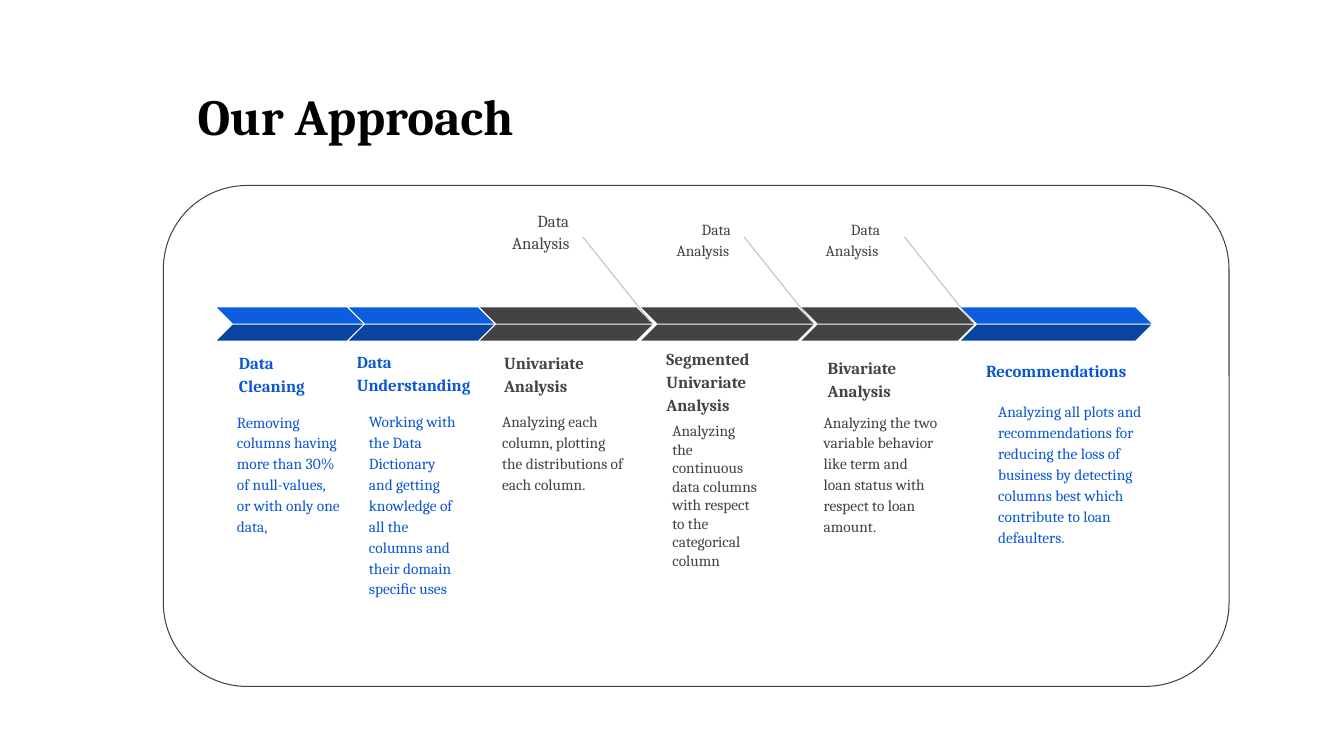
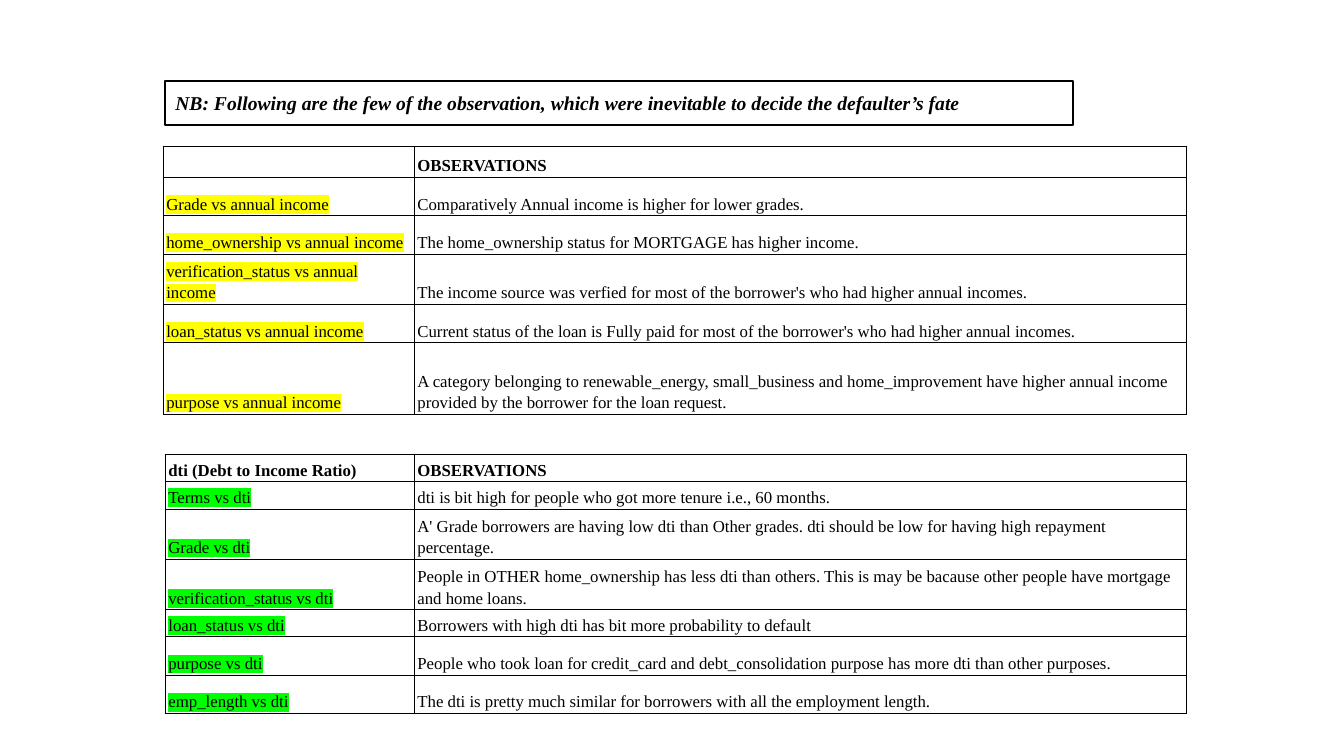
from lxml import etree
from pptx import Presentation
from pptx.dml.color import RGBColor
from pptx.enum.shapes import MSO_CONNECTOR, MSO_SHAPE
from pptx.enum.text import MSO_ANCHOR, MSO_AUTO_SIZE, PP_ALIGN
from pptx.oxml.ns import qn
from pptx.util import Inches, Pt

BLACK = RGBColor(0x00, 0x00, 0x00)
GREY = RGBColor(0x43, 0x43, 0x43)
LIGHT_GREY = RGBColor(0xC1, 0xC1, 0xC1)
BLUE = RGBColor(0x0B, 0x57, 0xD3)
BRIGHT_BLUE = RGBColor(0x0D, 0x5D, 0xDF)
DARK_BLUE = RGBColor(0x08, 0x44, 0xA1)
YELLOW = RGBColor(0xFF, 0xFF, 0x00)
GREEN = RGBColor(0x00, 0xFF, 0x00)

RECTANGLE = MSO_SHAPE.RECTANGLE
ROUNDED_RECTANGLE = MSO_SHAPE.ROUNDED_RECTANGLE
STRAIGHT = MSO_CONNECTOR.STRAIGHT
LEFT = PP_ALIGN.LEFT
BOTTOM = MSO_ANCHOR.BOTTOM
MIDDLE = MSO_ANCHOR.MIDDLE
GROW = MSO_AUTO_SIZE.SHAPE_TO_FIT_TEXT

TITLE = {"name": "Cambria", "size": Pt(36), "bold": True}
HEADING = {"name": "Cambria", "size": Pt(12), "bold": True}
CALLOUT = {"name": "Cambria", "size": Pt(12)}
BODY = {"name": "Cambria", "size": Pt(11)}
NOTE = {"name": "Times New Roman", "size": Pt(14), "bold": True, "italic": True}
TABLE_HEADER = {"name": "Times New Roman", "size": Pt(12), "bold": True}
TABLE_TEXT = {"name": "Times New Roman", "size": Pt(12), "bold": False}


def write(paragraph, text, style, color, spacing=1.0):
    paragraph.alignment = LEFT
    paragraph.line_spacing = spacing
    run = paragraph.add_run()
    run.text = text
    run.font.color.rgb = color
    for name, value in style.items():
        setattr(run.font, name, value)
    return run


def add_text(slide, text, box, style, color, spacing=1.0, margin=0.01, indent=0,
             insets=(0, 0.01, 0, 0)):
    shape = slide.shapes.add_textbox(*[Inches(value) for value in box])
    frame = shape.text_frame
    frame.word_wrap = True
    for side, inset in zip(("left", "top", "right", "bottom"), insets):
        setattr(frame, f"margin_{side}", Inches(inset))
    paragraph = frame.paragraphs[0]
    write(paragraph, text, style, color, spacing)
    properties = paragraph._p.get_or_add_pPr()
    properties.set("marL", str(Inches(margin)))
    properties.set("indent", str(Inches(indent)))


presentation = Presentation()
presentation.slide_width = Inches(13.33)
presentation.slide_height = Inches(7.5)
blank = presentation.slide_layouts[6]

# Slide 1: approach
slide = presentation.slides.add_slide(blank)
panel = slide.shapes.add_shape(ROUNDED_RECTANGLE, Inches(1.62), Inches(1.84),
                               Inches(10.57), Inches(4.97))
panel.adjustments[0] = 0.167
panel.shadow.inherit = False
panel.fill.background()
panel.line.color.rgb = GREY
panel.line.width = Pt(0.75)
add_text(slide, "Our Approach", (1.95, 0.83, 4.86, 0.67), TITLE, BLACK)

# Process arrows: left, width, upper colour, lower colour
ARROWS = [
    (2.15, 1.45, BRIGHT_BLUE, DARK_BLUE),
    (3.46, 1.44, BRIGHT_BLUE, DARK_BLUE),
    (4.76, 1.71, GREY, GREY),
    (6.36, 1.71, GREY, GREY),
    (7.95, 1.71, GREY, GREY),
    (9.53, 1.89, BRIGHT_BLUE, DARK_BLUE),
]
NOTCH = 0.16
for left, width, upper, lower in ARROWS:
    right = left + width
    # Each half slants between its outer edge and the centre line
    for outer, inner, color in ((3.05, 3.21, upper), (3.38, 3.22, lower)):
        corners = [(left, outer), (right - NOTCH, outer), (right, inner),
                   (left + NOTCH, inner)]
        points = [(Inches(x), Inches(y)) for x, y in corners]
        builder = slide.shapes.build_freeform(*points[0], scale=1.0)
        builder.add_line_segments(points[1:], close=True)
        half = builder.convert_to_shape()
        half.shadow.inherit = False
        half.fill.solid()
        half.fill.fore_color.rgb = color
        half.line.fill.background()

# Callouts: pointer start, text box, style
CALLOUTS = [
    (5.78, (5.07, 2.05, 0.71, 0.38), CALLOUT),
    (7.38, (6.7, 2.15, 0.79, 0.38), BODY),
    (8.97, (8.18, 2.15, 0.93, 0.38), BODY),
]
for start, box, style in CALLOUTS:
    pointer = slide.shapes.add_connector(STRAIGHT, Inches(start), Inches(2.35),
                                         Inches(start + 0.67), Inches(3.19))
    pointer.line.color.rgb = LIGHT_GREY
    pointer.line.width = Pt(0.75)
    etree.SubElement(pointer._element.spPr, qn("a:effectLst"))
    add_text(slide, "Data Analysis", box, style, GREY, 1.13, indent=0.25)

# Step headings
HEADINGS = [
    ("Data Cleaning", (2.36, 3.46, 0.94, 0.42), BLUE, 1.15, 0.01),
    ("Data Understanding", (3.53, 3.45, 1.31, 0.62), BLUE, 1.15, 0.01),
    ("Univariate Analysis", (4.99, 3.46, 1.19, 0.42), GREY, 1.15, 0.01),
    ("Segmented Univariate Analysis", (6.57, 3.42, 1.31, 0.83), GREY, 1.15, 0.04),
    ("Bivariate Analysis", (8.2, 3.51, 1.26, 0.42), GREY, 1.15, 0.01),
    ("Recommendations", (9.77, 3.57, 1.64, 0.37), BLUE, 1.0, 0.01),
]
for text, box, color, spacing, margin in HEADINGS:
    add_text(slide, text, box, HEADING, color, spacing, margin)

# Step descriptions
DESCRIPTIONS = [
    ("Removing columns having more than 30% of null-values, or with only one data,",
     (2.34, 4.06, 1.04, 2.21), BLUE),
    ("Working with the Data Dictionary and getting knowledge of all the columns and "
     "their domain speciﬁc uses", (3.65, 4.06, 0.9, 1.84), BLUE),
    ("Analyzing each column, plotting the distributions of each column.",
     (4.97, 4.06, 1.26, 0.74), GREY),
    ("Analyzing the two variable behavior like term and loan status with respect to "
     "loan amount.", (8.16, 4.06, 1.15, 1.29), GREY),
    ("Analyzing all plots and recommendations for reducing the loss of business by "
     "detecting columns best which contribute to loan defaulters.",
     (9.89, 3.96, 1.52, 1.84), BLUE),
]
for text, box, color in DESCRIPTIONS:
    add_text(slide, text, box, BODY, color, 1.13)
add_text(slide, "Analyzing the continuous data columns with respect to the categorical column",
         (6.57, 4.13, 1.04, 1.71), BODY, GREY, margin=0, insets=(0.1, 0.05, 0.1, 0.05))

# Slide 2: observations
slide = presentation.slides.add_slide(blank)
note = slide.shapes.add_shape(RECTANGLE, Inches(1.64), Inches(0.8), Inches(9), Inches(0.44))
note.shadow.inherit = False
note.fill.background()
note.line.color.rgb = BLACK
note.line.width = Pt(1.5)
frame = note.text_frame
NOTE_FRAME = {"word_wrap": True, "auto_size": GROW, "vertical_anchor": MIDDLE,
              "margin_left": Inches(0.1), "margin_right": Inches(0.1),
              "margin_top": Inches(0.1), "margin_bottom": Inches(0.1)}
for name, value in NOTE_FRAME.items():
    setattr(frame, name, value)
write(frame.paragraphs[0], "NB: Following are the few of the observation, which were "
      "inevitable to decide the defaulter’s fate", NOTE, BLACK)

# Table rows: height, topic, observation
INCOME_ROWS = [
    (0.31, "", "OBSERVATIONS"),
    (0.38, "Grade vs annual income",
     "Comparatively Annual income is higher for lower grades."),
    (0.38, "home_ownership vs annual income",
     "The home_ownership status for MORTGAGE has higher income."),
    (0.5, "verification_status vs annual income",
     "The income source was verfied for most of the borrower's who had higher annual "
     "incomes."),
    (0.38, "loan_status vs annual income",
     "Current status of the loan is Fully paid for most of the borrower's who had higher "
     "annual incomes."),
    (0.71, "purpose vs annual income",
     "A category belonging to renewable_energy, small_business and home_improvement have "
     "higher annual income provided by the borrower for the loan request."),
]
DTI_ROWS = [
    (0.27, "dti (Debt to Income Ratio)", "OBSERVATIONS"),
    (0.27, "Terms vs dti", "dti is bit high for people who got more tenure i.e., 60 months."),
    (0.5, "Grade vs dti",
     "A' Grade borrowers are having low dti than Other grades. dti should be low for "
     "having high repayment percentage."),
    (0.5, "verification_status vs dti",
     "People in OTHER home_ownership has less dti than others. This is may be bacause "
     "other people have mortgage and home loans."),
    (0.27, "loan_status vs dti", "Borrowers with high dti has bit more probability to default"),
    (0.38, "purpose vs dti",
     "People who took loan for credit_card and debt_consolidation purpose has more dti "
     "than other purposes."),
    (0.38, "emp_length vs dti",
     "The dti is pretty much similar for borrowers with all the employment length."),
]
CELL_FORMAT = {"vertical_anchor": BOTTOM, "margin_left": Inches(0.03),
               "margin_right": Inches(0.03), "margin_top": Inches(0.02),
               "margin_bottom": Inches(0.02)}
TABLES = [
    (1.62, 1.45, (2.49, 7.66), INCOME_ROWS, YELLOW),
    (1.64, 4.51, (2.47, 7.66), DTI_ROWS, GREEN),
]
for left, top, widths, rows, marker in TABLES:
    height = sum(row[0] for row in rows)
    table = slide.shapes.add_table(len(rows), 2, Inches(left), Inches(top),
                                   Inches(sum(widths)), Inches(height)).table
    table.first_row = False
    table.horz_banding = False
    for column, width in zip(table.columns, widths):
        column.width = Inches(width)
    for row_index, (row_height, *texts) in enumerate(rows):
        table.rows[row_index].height = Inches(row_height)
        for column_index, text in enumerate(texts):
            cell = table.cell(row_index, column_index)
            for name, value in CELL_FORMAT.items():
                setattr(cell, name, value)

            # Black border on all sides
            properties = cell._tc.get_or_add_tcPr()
            for side in ("lnL", "lnR", "lnT", "lnB"):
                border = etree.SubElement(properties, qn(f"a:{side}"), w=str(Pt(0.75)))
                solid = etree.SubElement(border, qn("a:solidFill"))
                etree.SubElement(solid, qn("a:srgbClr"), val=str(BLACK))
            cell.fill.background()

            paragraph = cell.text_frame.paragraphs[0]
            if not text:
                etree.SubElement(paragraph._p, qn("a:endParaRPr"), sz="1200")
                continue
            style = TABLE_TEXT if row_index else TABLE_HEADER
            run = write(paragraph, text, style, BLACK, 1.15)
            if row_index and column_index == 0:
                highlight = etree.Element(qn("a:highlight"))
                etree.SubElement(highlight, qn("a:srgbClr"), val=str(marker))
                run._r.rPr.find(qn("a:latin")).addprevious(highlight)

presentation.save("out.pptx")
